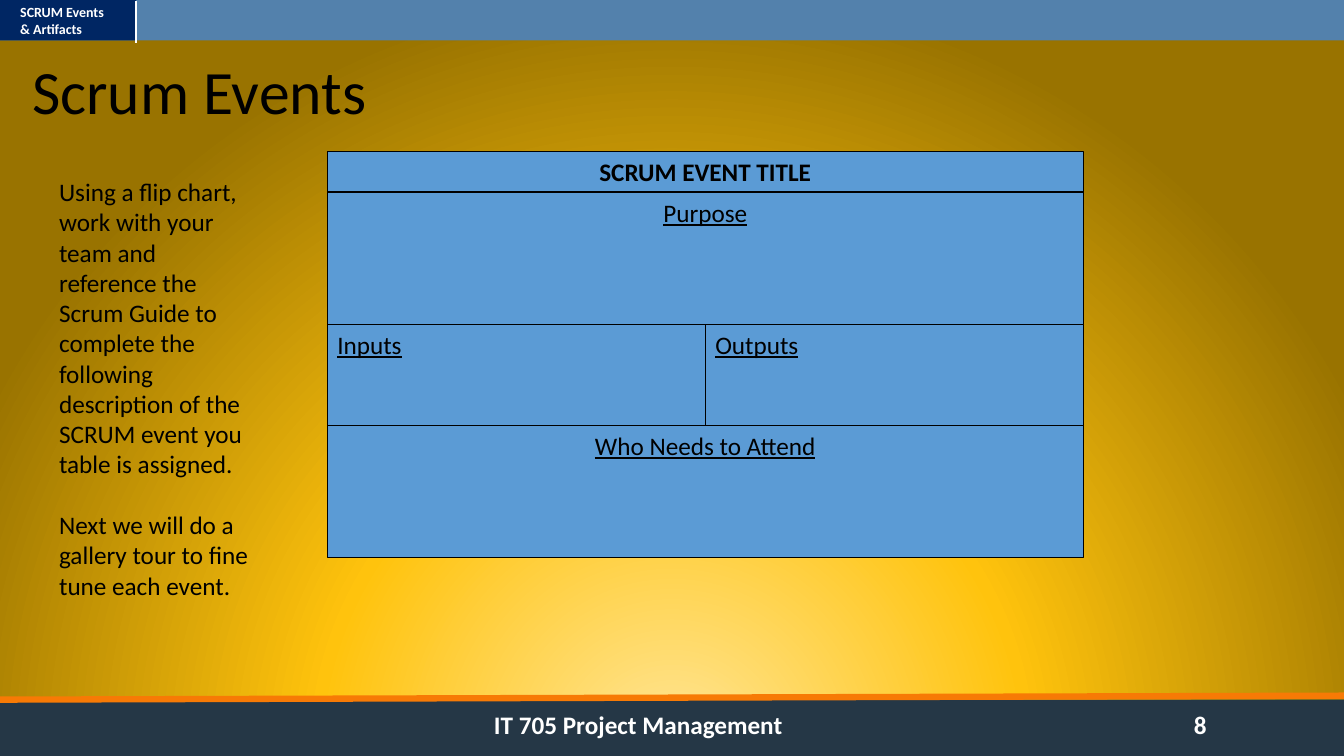
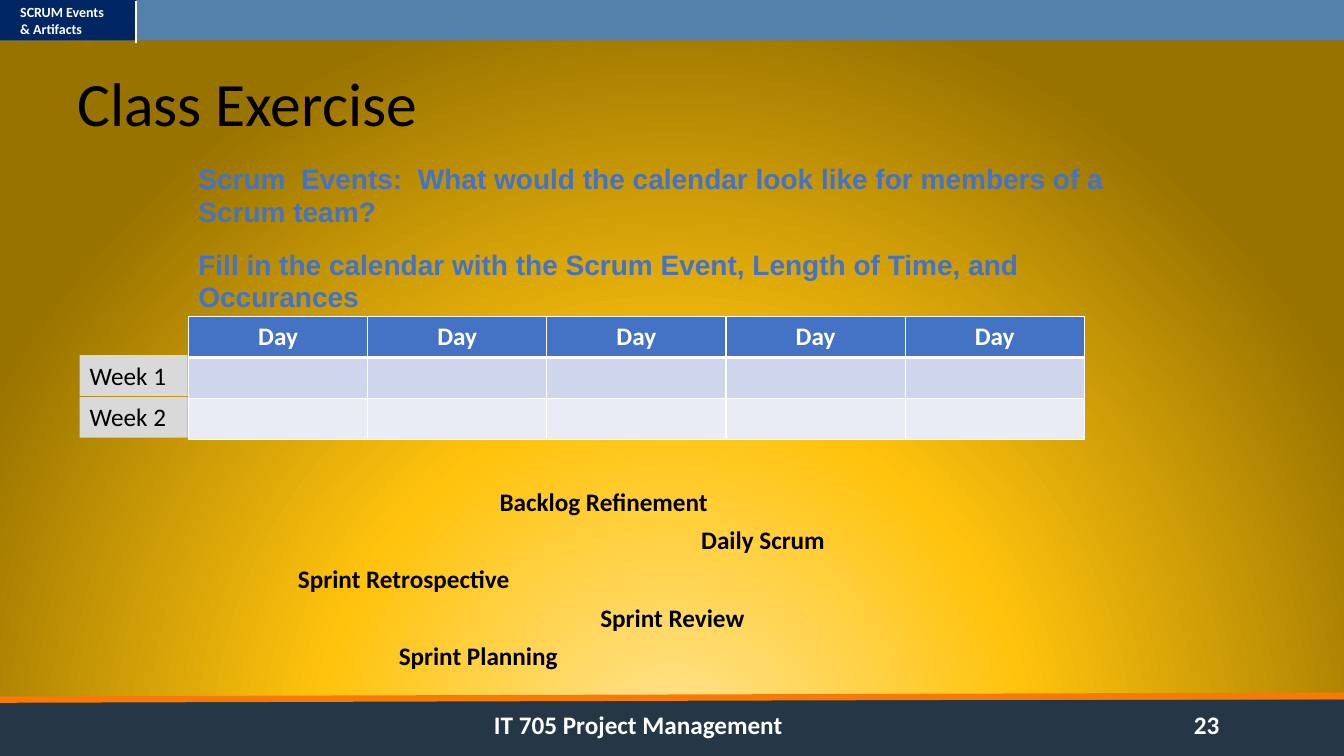
from pptx import Presentation
from pptx.dml.color import RGBColor
from pptx.enum.shapes import MSO_CONNECTOR, MSO_SHAPE
from pptx.enum.text import MSO_ANCHOR, PP_ALIGN
from pptx.oxml import parse_xml
from pptx.oxml.ns import nsdecls, qn
from pptx.util import Cm, Pt

RECT = MSO_SHAPE.RECTANGLE
LINE = MSO_CONNECTOR.STRAIGHT
TOP, MID = MSO_ANCHOR.TOP, MSO_ANCHOR.MIDDLE
LEFT, CENTER = PP_ALIGN.LEFT, PP_ALIGN.CENTER

BLACK = RGBColor(0x00, 0x00, 0x00)
WHITE = RGBColor(0xFF, 0xFF, 0xFF)
SLATE = RGBColor(0x25, 0x37, 0x46)
ORANGE = RGBColor(0xF7, 0x7A, 0x05)
STEEL = RGBColor(0x53, 0x81, 0xAC)
NAVY = RGBColor(0x00, 0x26, 0x63)
SKY = RGBColor(0x5B, 0x9B, 0xD5)
BLUE = RGBColor(0x44, 0x72, 0xC4)
GRAY = RGBColor(0xD9, 0xD9, 0xD9)
BANDS = (RGBColor(0xCF, 0xD5, 0xEA), RGBColor(0xE9, 0xEB, 0xF5))
GLOW = ((0, "FFE699"), (46, "FFC30D"), (100, "997300"))

WIDE, HIGH = 33.87, 19.05
BAND, TAB = 1.02, 3.43


def glow(master):
    """Give the master a round gradient that shines from below."""
    master.background.fill.solid()
    holder = master.element.find(".//" + qn("p:bgPr"))
    stops = "".join(
        f'<a:gs pos="{pos * 1000}"><a:srgbClr val="{tint}"/></a:gs>'
        for pos, tint in GLOW)
    grad = parse_xml(
        f'<a:gradFill {nsdecls("a")} rotWithShape="1"><a:gsLst>{stops}</a:gsLst>'
        '<a:path path="circle"><a:fillToRect l="50000" t="130000" '
        'r="50000" b="-30000"/></a:path></a:gradFill>')
    holder.replace(holder.find(qn("a:solidFill")), grad)


def write(frame, lines, size=18, color=BLACK, bold=False, under=False,
          align=LEFT, anchor=TOP, font="Calibri"):
    frame.word_wrap = True
    frame.vertical_anchor = anchor
    for i, line in enumerate(lines):
        par = frame.paragraphs[0] if i == 0 else frame.add_paragraph()
        par.alignment = align
        run = par.add_run()
        run.text = line
        face = run.font
        face.name, face.size, face.bold = font, Pt(size), bold
        face.underline = under
        face.color.rgb = color
    return frame


def label(slide, box, *lines, **style):
    shape = slide.shapes.add_textbox(*map(Cm, box))
    return write(shape.text_frame, lines, **style)


def block(slide, box, fill, edge=None):
    shape = slide.shapes.add_shape(RECT, *map(Cm, box))
    shape.shadow.inherit = False
    shape.fill.solid()
    shape.fill.fore_color.rgb = fill
    if edge is None:
        shape.line.fill.background()
    else:
        shape.line.color.rgb = edge
        shape.line.width = Pt(0.75)
    return shape.text_frame


def rule(slide, ends, color, width):
    line = slide.shapes.add_connector(LINE, *map(Cm, ends))
    line.line.color.rgb = color
    line.line.width = Pt(width)
    line.element.spPr.append(parse_xml(f'<a:effectLst {nsdecls("a")}/>'))


def header(slide):
    block(slide, (0, 0, WIDE, BAND), STEEL)
    block(slide, (0, 0, TAB, BAND), NAVY)
    text = label(slide, (0.51, 0.1, 2.36, 0.86), "SCRUM Events & Artifacts",
                 size=10, color=WHITE, bold=True)
    text.margin_left = text.margin_right = 0
    text.margin_top = text.margin_bottom = 0
    rule(slide, (TAB, 0.03, TAB, 1.09), WHITE, 1.5)


def footer(slide, page):
    top = 17.63
    block(slide, (0, top, WIDE, HIGH - top), SLATE)
    rule(slide, (0, top, WIDE, top - 0.1), ORANGE, 4.5)
    for left, wide, text in ((12.2, 9, "IT 705 Project Management"),
                             (29.84, 2, str(page))):
        label(slide, (left, top + 0.13, wide, 1.02), text,
              color=WHITE, bold=True)


def base(deck, title, left, top, page):
    """Add a slide with the shared bands and a title at left, top."""
    slide = deck.slides.add_slide(deck.slide_layouts[6])
    footer(slide, page)
    header(slide)
    text = label(slide, (left, top, 30.48, 3.18), title, size=44, anchor=MID)
    text.paragraphs[0].line_spacing = 0.9
    text.paragraphs[0].space_after = Pt(6)
    return slide


def form(slide, left, top, wide):
    """Stack the rows of the blank event form."""
    rows = ((1.03, ("SCRUM EVENT TITLE",)), (3.33, ("Purpose",)),
            (2.55, ("Inputs", "Outputs")), (3.33, ("Who Needs to Attend",)))
    for i, (high, names) in enumerate(rows):
        part = wide / len(names)
        for j, name in enumerate(names):
            frame = block(slide, (left + j * part, top, part, high), SKY, BLACK)
            write(frame, [name], bold=i == 0, under=i > 0,
                  align=CENTER if len(names) == 1 else LEFT)
        top += high


def border(cell, sides):
    props = cell._tc.get_or_add_tcPr()
    for side, width in sides:
        props.append(parse_xml(
            f'<a:ln{side} {nsdecls("a")} w="{Pt(width)}"><a:solidFill>'
            f'<a:srgbClr val="{WHITE}"/></a:solidFill></a:ln{side}>'))


def plan(slide, left, top, wide, high):
    """Draw the day grid, with the week names on its left."""
    days, rows = 5, 3
    box = map(Cm, (left, top, wide, high * rows))
    grid = slide.shapes.add_table(rows, days, *box).table
    for i, row in enumerate(grid.rows):
        row.height = Cm(high)
        for cell in row.cells:
            border(cell, (("L", 1), ("R", 1), ("T", 3 if i == 1 else 1),
                          ("B", 3 if i == 0 else 1)))
            cell.fill.solid()
            cell.fill.fore_color.rgb = BANDS[i - 1] if i else BLUE
            if i == 0:
                write(cell.text_frame, ["Day"], color=WHITE, bold=True,
                      align=CENTER)
    for i in range(rows - 1):
        frame = block(slide, (left - 2.74, top + 0.97 + 1.05 * i, 2.72, high),
                      GRAY)
        write(frame, [f"Week {i + 1}"])


def events(slide, box):
    """List the event names, each set in by whole steps."""
    steps = {"Backlog Refinement": 2, "Daily Scrum": 4,
             "Sprint Retrospective": 0, "Sprint Review": 3,
             "Sprint Planning": 1}
    text = label(slide, box, *steps, bold=True)
    for par, step in zip(text.paragraphs, steps.values()):
        props = par._p.get_or_add_pPr()
        props.set("marL", str(Cm(2.54 * step)))
        props.set("indent", "0")
        par.space_after = Pt(6)


def main():
    deck = Presentation()
    deck.slide_width, deck.slide_height = Cm(WIDE), Cm(HIGH)
    glow(deck.slide_master)

    slide = base(deck, "Scrum Events", 0.56, 0.79, 8)
    form(slide, 8.25, 3.81, 19.05)
    text = label(
        slide, (1.24, 4.32, 5.31, 11.02),
        "Using a flip chart, work with your team and reference the Scrum Guide "
        "to complete the following description of the SCRUM event you table is "
        "assigned.",
        "Next we will do a gallery tour to fine tune each event.")
    text.paragraphs[1].space_before = Pt(22)

    slide = base(deck, "Class Exercise", 1.7, 1.09, 23)
    text = label(
        slide, (4.75, 4.01, 23.62, 3.9),
        "Scrum  Events:  What would the calendar look like for members of a "
        "Scrum team?",
        "Fill in the calendar with the Scrum Event, Length of Time, and "
        "Occurances",
        size=20, color=BLUE, bold=True, font="Arial")
    for par in text.paragraphs:
        par.line_spacing = 0.96
    text.paragraphs[1].space_before = Pt(15)
    plan(slide, 4.75, 7.98, 22.58, 1.03)
    events(slide, (7.26, 12.12, 16.94, 4.95))

    deck.save("out.pptx")


if __name__ == "__main__":
    main()
